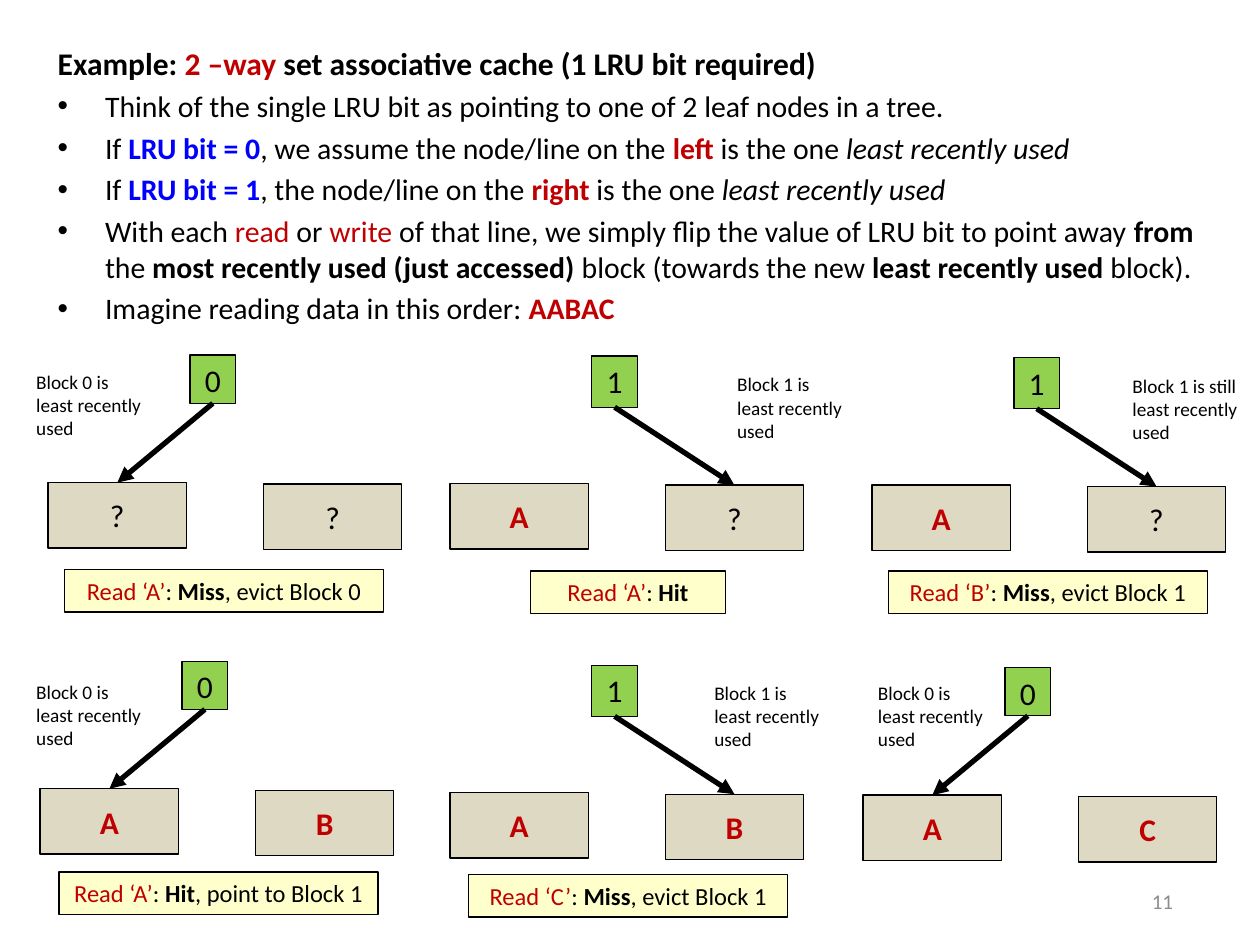
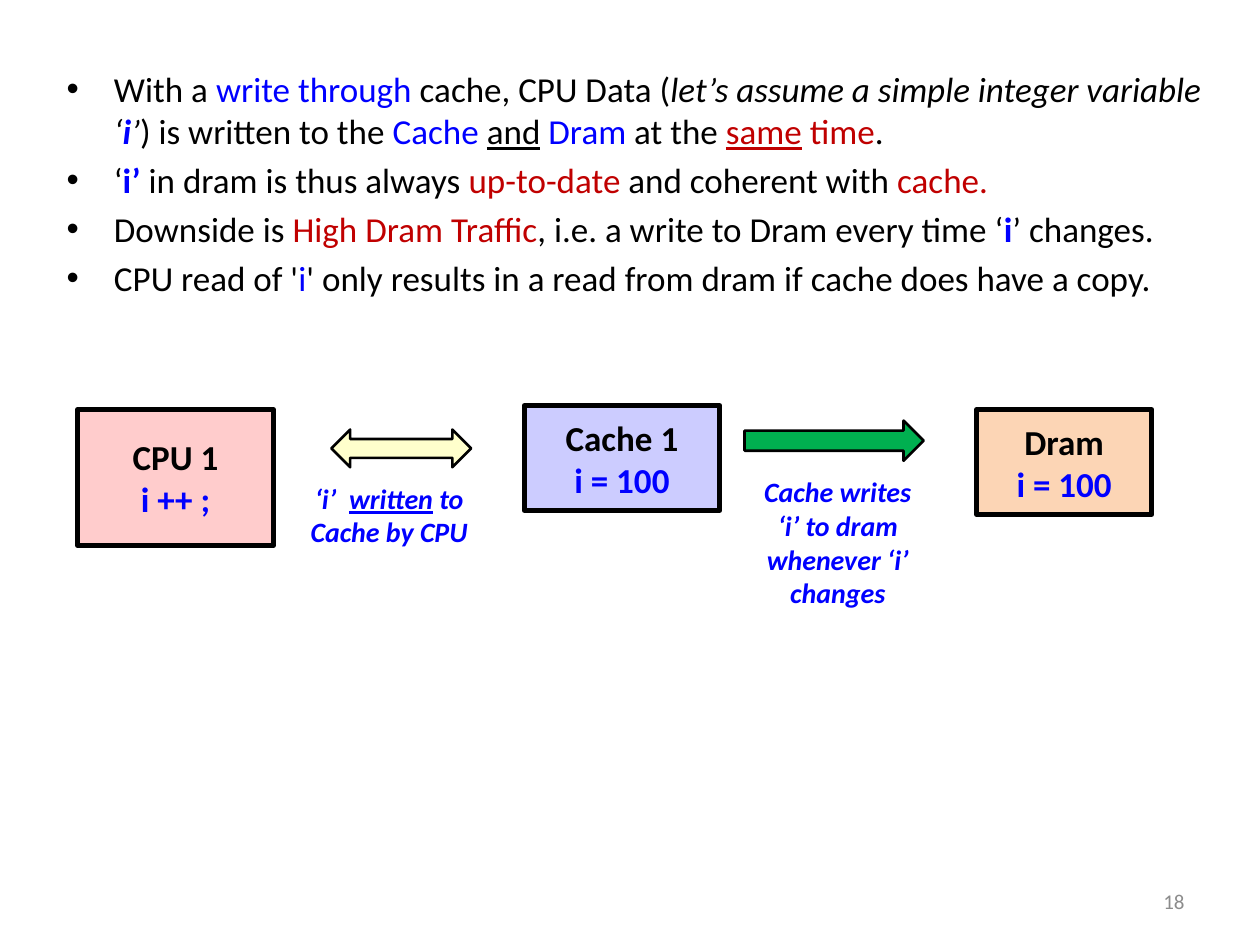
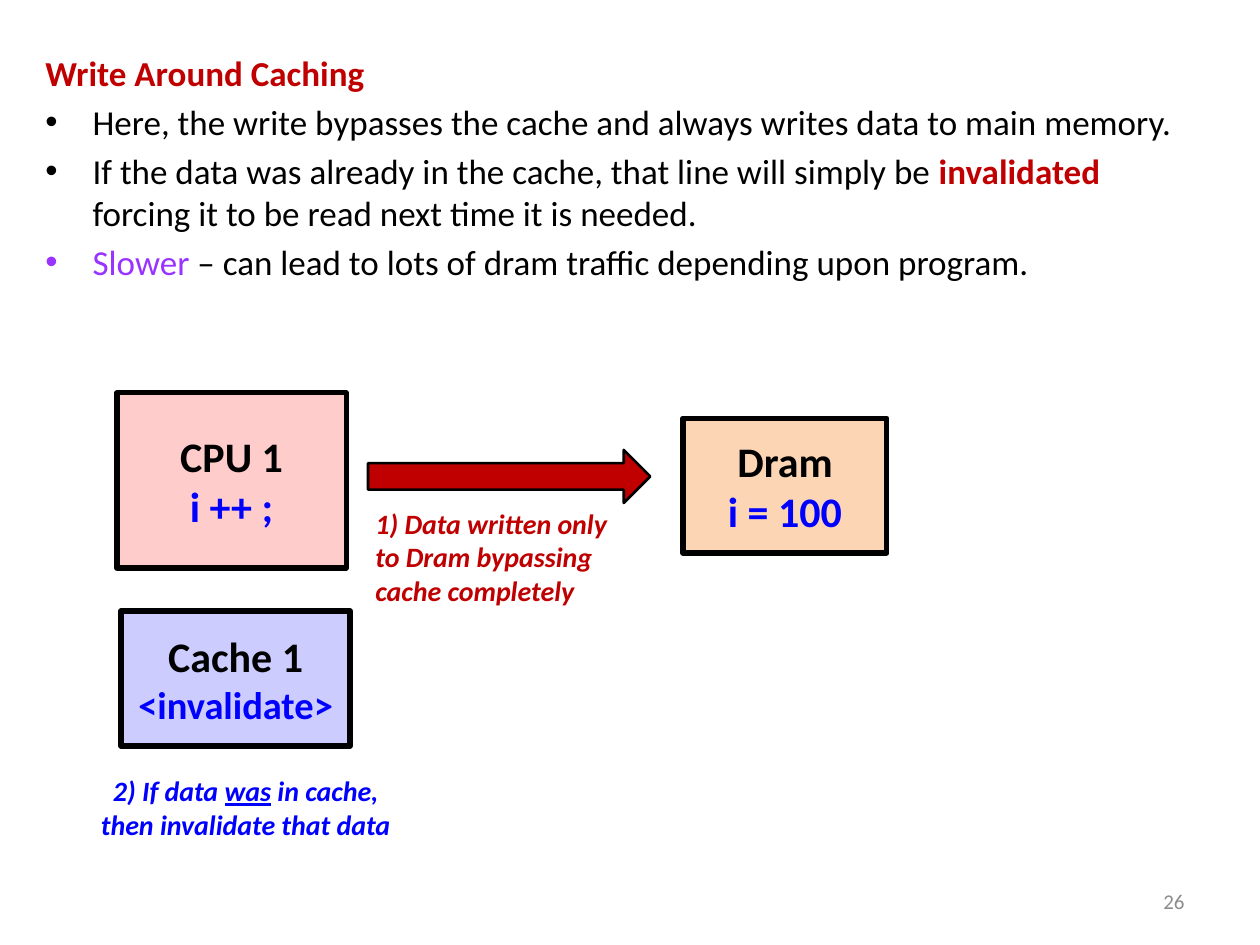
from lxml.etree import SubElement
from pptx import Presentation
from pptx.dml.color import RGBColor
from pptx.enum.shapes import MSO_CONNECTOR, MSO_SHAPE
from pptx.enum.text import MSO_ANCHOR, MSO_AUTO_SIZE, PP_ALIGN
from pptx.oxml.ns import qn
from pptx.util import Cm, Pt

# Shared look
FONT = "Calibri"
BLACK, RED, BLUE, PURPLE, GREY = "000000", "C00000", "0000FF", "9933FF", "8C8C8C"
BLOCK_FILL, BIT_FILL, CAPTION_FILL = "DDD9C3", "92D050", "FFFFCC"
CPU_FILL, CACHE_FILL, DRAM_FILL, GREEN = "FFCCCC", "CCCCFF", "FCD5B5", "00B050"
RED_BOLD, BLUE_BOLD = f"{RED} b", f"{BLUE} b"
LEFT, CENTER, RIGHT = PP_ALIGN.LEFT, PP_ALIGN.CENTER, PP_ALIGN.RIGHT
TOP, MIDDLE = MSO_ANCHOR.TOP, MSO_ANCHOR.MIDDLE


def write(frame, paragraphs, size, alignment=LEFT):
    """Fill a frame; a run is plain text or (text, "colour b i u 22pt")."""
    frame.word_wrap = True
    frame.auto_size = MSO_AUTO_SIZE.NONE
    for index, runs in enumerate(paragraphs):
        paragraph = frame.add_paragraph() if index else frame.paragraphs[0]
        paragraph.alignment = alignment
        for item in runs:
            text, style = (item, "") if isinstance(item, str) else item
            run = paragraph.add_run()
            run.text = text
            font = run.font
            font.name, font.size = FONT, Pt(size)
            color = BLACK
            for word in style.split():
                if word == "b":
                    font.bold = True
                elif word == "i":
                    font.italic = True
                elif word == "u":
                    font.underline = True
                elif word.endswith("pt"):
                    font.size = Pt(int(word[:-2]))
                else:
                    color = word
            font.color.rgb = RGBColor.from_string(color)


def add_box(slide, box, paragraphs=(), size=18, alignment=CENTER, anchor=MIDDLE,
            fill=None, line_width=0.75, kind=MSO_SHAPE.RECTANGLE):
    """Add a filled, outlined shape, or a text box when there is no fill."""
    lengths = [Cm(length) for length in box]
    if fill:
        shape = slide.shapes.add_shape(kind, *lengths)
        shape.shadow.inherit = False
        shape.fill.solid()
        shape.fill.fore_color.rgb = RGBColor.from_string(fill)
        shape.line.color.rgb = RGBColor.from_string(BLACK)
        shape.line.width = Pt(line_width)
    else:
        shape = slide.shapes.add_textbox(*lengths)
    shape.text_frame.vertical_anchor = anchor
    write(shape.text_frame, paragraphs, size, alignment)


presentation = Presentation()
presentation.slide_width, presentation.slide_height = Cm(25.4), Cm(19.05)

# Body texts: page number, its left edge, body box, text size, heading, bullets
pages = [
    ("11", 17.98, (0.91, 0.76, 23.55, 16.26), 17,
     [("Example: ", "b 18pt"), ("2 –way", f"{RED_BOLD} 18pt"),
      (" set associative cache (1 LRU bit required)", "b 18pt")],
     [["Think of the single LRU bit as pointing to one of 2 leaf nodes in a tree."],
      ["If ", ("LRU bit = 0", BLUE_BOLD), ", we assume the node/line on the ",
       ("left ", RED_BOLD), "is the one ", ("least recently used", "i")],
      ["If ", ("LRU bit = 1", BLUE_BOLD), ", the node/line on the ",
       ("right ", RED_BOLD), "is the one ", ("least recently used", "i")],
      ["With each ", ("read", RED), " or ", ("write ", RED),
       "of that line, we simply flip the value of LRU bit to point away ",
       ("from", "b"), " the ", ("most recently used (just accessed) ", "b"),
       "block (towards the new ", ("least recently used", "b"), " block)."],
      ["Imagine reading data in this order: ", ("AABAC", RED_BOLD)]]),
    ("18", 18.21, (1.09, 1.24, 23.5, 15.77), 20, None,
     [["With a ", ("write through", BLUE), " cache, CPU Data (",
       ("let’s assume a simple integer variable ‘", "i"), ("i", f"{BLUE_BOLD} i"),
       ("’", "i"), ") is written to the ", ("Cache ", BLUE), ("and", "u"), " ",
       ("Dram", BLUE), " at the ", ("same", f"{RED} u"), (" time", RED), "."],
      ["‘", ("i’", BLUE_BOLD), " in dram is thus always ", ("up-to-date ", RED),
       "and coherent with ", ("cache.", RED)],
      ["Downside is ", ("High Dram Traffic", RED),
       ", i.e. a write to Dram every time ‘", ("i", BLUE_BOLD), "’ changes."],
      ["CPU read of '", ("i", BLUE),
       "' only results in a read from dram if cache does have a copy."]]),
    ("26", 18.21, (0.66, 0.91, 23.8, 17.17), 20,
     [("Write Around Caching", RED_BOLD)],
     [["Here, the write bypasses the cache and always writes data to main memory."],
      ["If the data was already in the cache, that line will simply be ",
       ("invalidated ", RED_BOLD), "forcing it to be read next time it is needed."],
      [("Slower", PURPLE),
       " – can lead to lots of dram traffic depending upon program."]]),
]
slides = []
for number, number_left, box, size, heading, bullets in pages:
    slide = presentation.slides.add_slide(presentation.slide_layouts[1])
    title, body = slide.placeholders
    title.element.getparent().remove(title.element)
    body.left, body.top, body.width, body.height = [Cm(length) for length in box]
    write(body.text_frame, ([heading] if heading else []) + bullets, size)
    if heading:
        properties = body.text_frame.paragraphs[0]._p.get_or_add_pPr()
        SubElement(properties, qn("a:buNone"))
    add_box(slide, (number_left, 17.65, 5.92, 1.02), [[(number, GREY)]], 12, RIGHT)
    slides.append(slide)
lru_slide, through_slide, around_slide = slides

# LRU trees: left block corner, LRU bit, block contents, note corner and text
BLOCK_WIDTH, BLOCK_HEIGHT, BLOCK_STEP = 2.79, 1.32, 4.34
BIT_WIDTH, BIT_SHIFT, BIT_RISE = 0.92, 2.86, 2.57
trees = [
    (0.97, 9.73, 0, "??", 0.48, 7.34, "Block 0 is least recently used"),
    (9.07, 9.75, 1, "A?", 14.61, 7.39, "Block 1 is least recently used"),
    (17.58, 9.78, 1, "A?", 22.58, 7.42, "Block 1 is still least recently used"),
    (0.81, 15.9, 0, "AB", 0.48, 13.59, "Block 0 is least recently used"),
    (9.07, 15.98, 1, "AB", 14.15, 13.61, "Block 1 is least recently used"),
    (17.4, 16.03, 0, "AC", 17.45, 13.61, "Block 0 is least recently used"),
]
for left, top, bit, contents, note_left, note_top, note in trees:
    for index, content in enumerate(contents):
        style = "" if content == "?" else RED_BOLD
        add_box(lru_slide, (left + index * BLOCK_STEP, top + index * 0.03,
                            BLOCK_WIDTH, BLOCK_HEIGHT),
                [[(content, style)]], fill=BLOCK_FILL)
    bit_left, bit_top = left + BIT_SHIFT, top - BIT_RISE
    bit_height = 1.03 if bit else 0.97
    add_box(lru_slide, (bit_left, bit_top, BIT_WIDTH, bit_height),
            [[str(bit)]], anchor=TOP, fill=BIT_FILL)
    arrow = lru_slide.shapes.add_connector(
        MSO_CONNECTOR.STRAIGHT,
        Cm(bit_left + BIT_WIDTH / 2), Cm(bit_top + bit_height),
        Cm(left + bit * BLOCK_STEP + BLOCK_WIDTH / 2), Cm(top + bit * 0.03))
    arrow.line.color.rgb = RGBColor.from_string(BLACK)
    arrow.line.width = Pt(3)
    SubElement(arrow.line._get_or_add_ln(), qn("a:tailEnd"), type="triangle")
    SubElement(arrow._element.spPr, qn("a:effectLst"))
    add_box(lru_slide, (note_left, note_top, 2.79, 1.68), [[note]], 11, LEFT, TOP)

# Captions under the trees
captions = [
    (1.3, 11.48, 6.43, "A", "Miss", ", evict Block 0"),
    (10.69, 11.51, 3.94, "A", "Hit", ""),
    (17.91, 11.51, 6.43, "B", "Miss", ", evict Block 1"),
    (1.19, 17.58, 6.43, "A", "Hit", ", point to Block 1"),
    (9.45, 17.63, 6.43, "C", "Miss", ", evict Block 1"),
]
for left, top, width, data, result, action in captions:
    runs = [(f"Read ‘{data}’", RED), ": ", (result, "b")] + ([action] if action else [])
    add_box(lru_slide, (left, top, width, 0.86), [runs], 14, anchor=TOP,
            fill=CAPTION_FILL)

# Memory units of both write policies
cpu = [[("CPU 1", "b")], [("i ++ ;", BLUE_BOLD)]]
cache = [[("Cache 1", "b")], [("i = 100", BLUE_BOLD)]]
dram = [[("Dram", "b")], [("i = 100", BLUE_BOLD)]]
invalidated_cache = [[("Cache 1 ", "b"), ("<invalidate>", f"{BLUE_BOLD} 22pt")]]
units = [
    (through_slide, (1.57, 8.26, 3.94, 2.74), cpu, 20, CPU_FILL),
    (through_slide, (10.57, 8.18, 3.94, 2.11), cache, 20, CACHE_FILL),
    (through_slide, (19.69, 8.26, 3.53, 2.11), dram, 20, DRAM_FILL),
    (around_slide, (2.36, 7.92, 4.62, 3.53), cpu, 24, CPU_FILL),
    (around_slide, (2.44, 12.32, 4.62, 2.72), invalidated_cache, 24, CACHE_FILL),
    (around_slide, (13.77, 8.43, 4.11, 2.72), dram, 24, DRAM_FILL),
]
for slide, box, paragraphs, size, fill in units:
    add_box(slide, box, paragraphs, size, fill=fill, line_width=3)

# Block arrows between the units
block_arrows = [
    (through_slide, (15.01, 8.48, 3.61, 0.81), GREEN, MSO_SHAPE.RIGHT_ARROW),
    (through_slide, (6.68, 8.66, 2.82, 0.76), CAPTION_FILL, MSO_SHAPE.LEFT_RIGHT_ARROW),
    (around_slide, (7.42, 9.07, 5.69, 1.07), RED, MSO_SHAPE.RIGHT_ARROW),
]
for slide, box, fill, kind in block_arrows:
    add_box(slide, box, fill=fill, line_width=1.5, kind=kind)

# Explanations beside the arrows
NOTE = f"{BLUE_BOLD} i"
explanations = [
    (through_slide, (5.99, 9.58, 3.71, 1.63), CENTER,
     [("‘i’  ", NOTE), ("written", f"{NOTE} u"), (" to Cache by CPU", NOTE)]),
    (through_slide, (15.01, 9.45, 3.76, 3), CENTER,
     [("Cache writes ‘i’ to dram whenever ‘i’ changes", NOTE)]),
    (around_slide, (1.68, 15.47, 6.55, 1.63), CENTER,
     [("2) If data ", NOTE), ("was", f"{NOTE} u"),
      (" in cache, then invalidate that data", NOTE)]),
    (around_slide, (7.32, 10.08, 5.66, 2.31), LEFT,
     [("1) Data written only to Dram bypassing cache completely", f"{RED_BOLD} i")]),
]
for slide, box, alignment, runs in explanations:
    add_box(slide, box, [runs], 16, alignment, TOP)

presentation.save("out.pptx")
